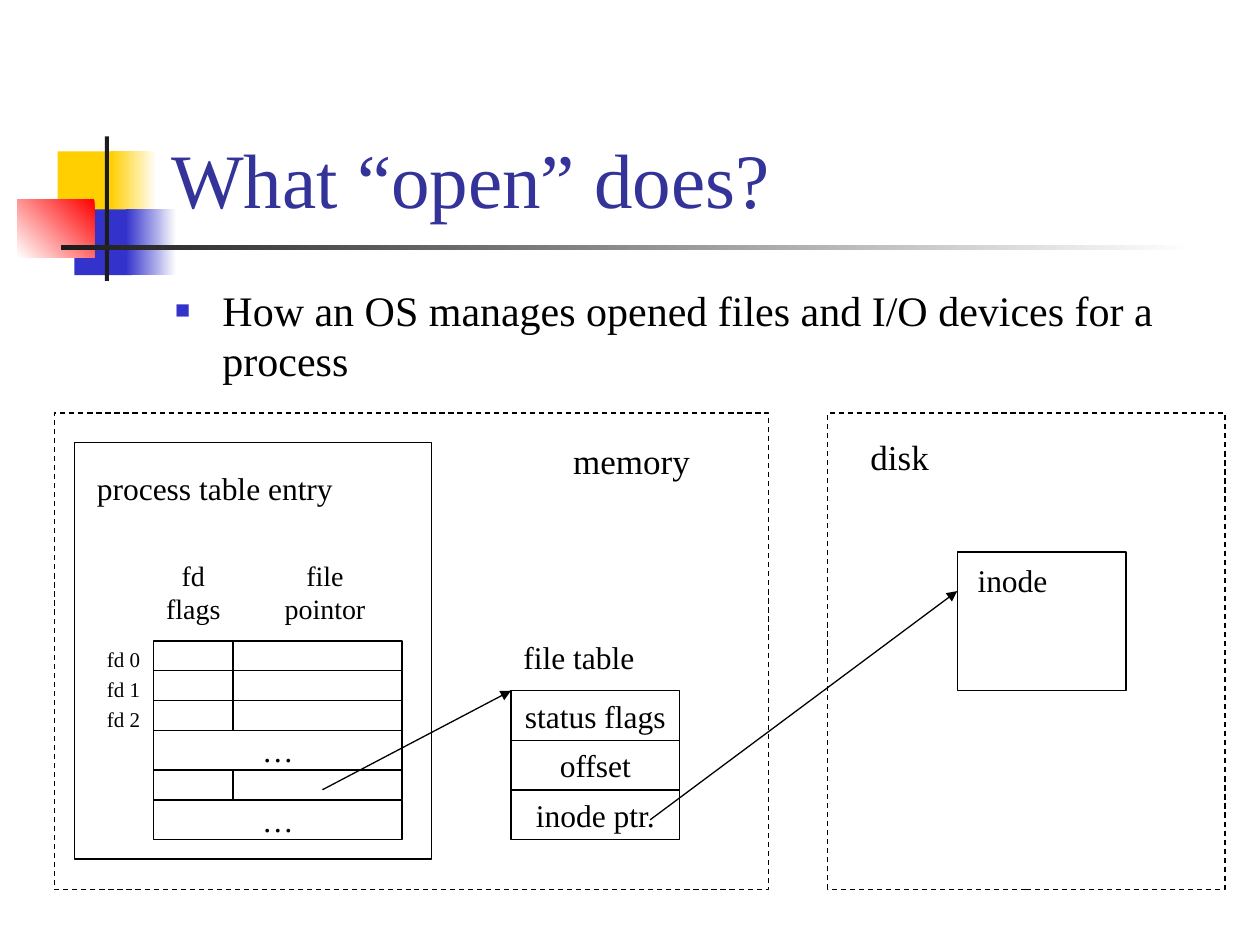
from lxml.etree import SubElement
from pptx import Presentation
from pptx.dml.color import RGBColor
from pptx.enum.dml import MSO_LINE
from pptx.enum.shapes import MSO_CONNECTOR, MSO_SHAPE
from pptx.enum.text import MSO_ANCHOR, MSO_AUTO_SIZE, PP_ALIGN
from pptx.oxml.ns import qn
from pptx.util import Pt

BLACK = RGBColor(0, 0, 0)
WHITE = RGBColor(255, 255, 255)
YELLOW = RGBColor(0xFF, 0xCF, 0x01)
BLUE = RGBColor(0x33, 0x33, 0xCC)
RED = RGBColor(0xFF, 0, 0)
DARK = RGBColor(0x1C, 0x1C, 0x1C)
TITLE_BLUE = RGBColor(0x33, 0x33, 0x99)
FONT = "Times New Roman"

TITLE = "What “open” does?"
BODY = "How an OS manages opened files and I/O devices for a process"
DECOR = [
    ((33, 86.5, 34.5, 37.5), (YELLOW,), 0),
    ((63.5, 86.5, 26, 37.5), (WHITE, YELLOW), 180),
    ((42.5, 119.7, 33, 37.5), (BLUE,), 0),
    ((72, 119.7, 28.8, 37.5), (WHITE, BLUE), 180),
    ((10, 113.8, 44, 33.2), (RED, WHITE), 225),
    ((59.9, 78, 2.4, 82.5), (DARK,), 0),
    ((34.7, 140.2, 648, 2.4), (WHITE, DARK), 180),
]
FRAMES = [
    ((42.5, 253, 204.3, 238), None),
    ((31, 236, 408.3, 272.2), MSO_LINE.DASH),
    ((547, 315.4, 96.5, 79.2), None),
    ((473, 236, 227, 272.2), MSO_LINE.DASH),
]
LABELS = [
    ((48.3, 264.4, 149, 29), "process table entry", 18, PP_ALIGN.LEFT),
    ((87.8, 315.4, 45.4, 46), "fd\nflags", 16, PP_ALIGN.CENTER),
    ((155.5, 315.4, 60.5, 46), "file\npointor", 16, PP_ALIGN.CENTER),
    ((292, 361, 78.5, 29), "file table", 18, PP_ALIGN.LEFT),
    ((320.4, 247.8, 81.4, 31.5), "memory", 20, PP_ALIGN.LEFT),
    ((551.5, 317, 54, 29), "inode", 18, PP_ALIGN.LEFT),
    ((490.3, 245.5, 47.5, 31.5), "disk", 20, PP_ALIGN.LEFT),
]
FD_ROWS = ["fd 0", "fd 1", "fd 2", "…", "", "…"]
FD_LEFT, FD_TOP, FLAG_W, POINTER_W = 87.8, 366.2, 45.4, 96.5
ROW_H, GAP_H = 17.05, 22.7
FILE_ROWS = ["status flags", "offset", "inode ptr."]
FILE_LEFT, FILE_TOP, FILE_W, FILE_H = 292, 394.7, 96.5, 28.4
ARROWS = [((184.3, 451.3), (292, 394.7)), ((371.5, 468.5), (547, 337.8))]

prs = Presentation()
prs.slide_width, prs.slide_height = Pt(720), Pt(540)
slide = prs.slides.add_slide(prs.slide_layouts[1])
shapes = slide.shapes


def set_text(sp, text, size, color=BLACK, align=PP_ALIGN.LEFT,
             anchor=MSO_ANCHOR.TOP, wrap=False):
    tf = sp.text_frame
    frame = {"word_wrap": wrap, "auto_size": MSO_AUTO_SIZE.NONE,
             "vertical_anchor": anchor, "text": text}
    for name, value in frame.items():
        setattr(tf, name, value)
    for p in tf.paragraphs:
        p.alignment = align
        font = p.runs[0].font
        for name, value in {"name": FONT, "size": Pt(size)}.items():
            setattr(font, name, value)
        font.color.rgb = color


def add_rect(box):
    sp = shapes.add_shape(MSO_SHAPE.RECTANGLE, *map(Pt, box))
    sp.shadow.inherit = False
    return sp


def add_frame(box, text="", dash=None):
    sp = add_rect(box)
    sp.fill.background()
    sp.line.color.rgb = BLACK
    sp.line.width = Pt(0.74)
    if dash:
        sp.line.dash_style = dash
    if text:
        set_text(sp, text, 18, align=PP_ALIGN.CENTER, anchor=MSO_ANCHOR.MIDDLE)


def add_label(box, text, size, align=PP_ALIGN.LEFT):
    set_text(shapes.add_textbox(*map(Pt, box)), text, size, align=align)


def place(sp, box):
    for name, value in zip(("left", "top", "width", "height"), box):
        setattr(sp, name, Pt(value))
    shapes._spTree.append(sp._element)


for box, colors, angle in DECOR:
    sp = add_rect(box)
    sp.line.fill.background()
    if len(colors) == 1:
        sp.fill.solid()
        sp.fill.fore_color.rgb = colors[0]
    else:
        sp.fill.gradient()
        sp.fill.gradient_angle = angle
        for stop, color, position in zip(sp.fill.gradient_stops, colors, (0, 1)):
            stop.color.rgb = color
            stop.position = position

title, body = shapes.title, slide.placeholders[1]
place(title, (90.7, 16.6, 613.4, 115.2))
set_text(title, TITLE, 44, TITLE_BLUE, anchor=MSO_ANCHOR.BOTTOM, wrap=True)
place(body, (92.9, 159, 612, 82.8))
set_text(body, BODY, 24, wrap=True)
p = body.text_frame.paragraphs[0]
p.space_before = Pt(6)
pPr = p._p.get_or_add_pPr()
pPr.set("marL", str(Pt(27)))
pPr.set("indent", str(Pt(-27)))
SubElement(SubElement(pPr, qn("a:buClr")), qn("a:srgbClr"), val=str(BLUE))
SubElement(pPr, qn("a:buSzPct"), val="60000")
SubElement(pPr, qn("a:buFont"), typeface=FONT)
SubElement(pPr, qn("a:buChar"), char="■")

for box, dash in FRAMES:
    add_frame(box, dash=dash)
for label in LABELS:
    add_label(*label)

top = FD_TOP
for name in FD_ROWS:
    if name == "…":
        add_frame((FD_LEFT, top, FLAG_W + POINTER_W, GAP_H), name)
        top += GAP_H
        continue
    add_frame((FD_LEFT, top, FLAG_W, ROW_H))
    add_frame((FD_LEFT + FLAG_W, top, POINTER_W, ROW_H))
    if name:
        add_label((54, top, 33.1, 21.6), name, 12)
    top += ROW_H

for i, name in enumerate(FILE_ROWS):
    add_frame((FILE_LEFT, FILE_TOP + i * FILE_H, FILE_W, FILE_H), name)

for start, end in ARROWS:
    arrow = shapes.add_connector(MSO_CONNECTOR.STRAIGHT, *map(Pt, start + end))
    arrow.line.color.rgb = BLACK
    arrow.line.width = Pt(0.74)
    SubElement(arrow.line._get_or_add_ln(), qn("a:tailEnd"), type="triangle")
    SubElement(arrow._element.spPr, qn("a:effectLst"))

prs.save("out.pptx")
